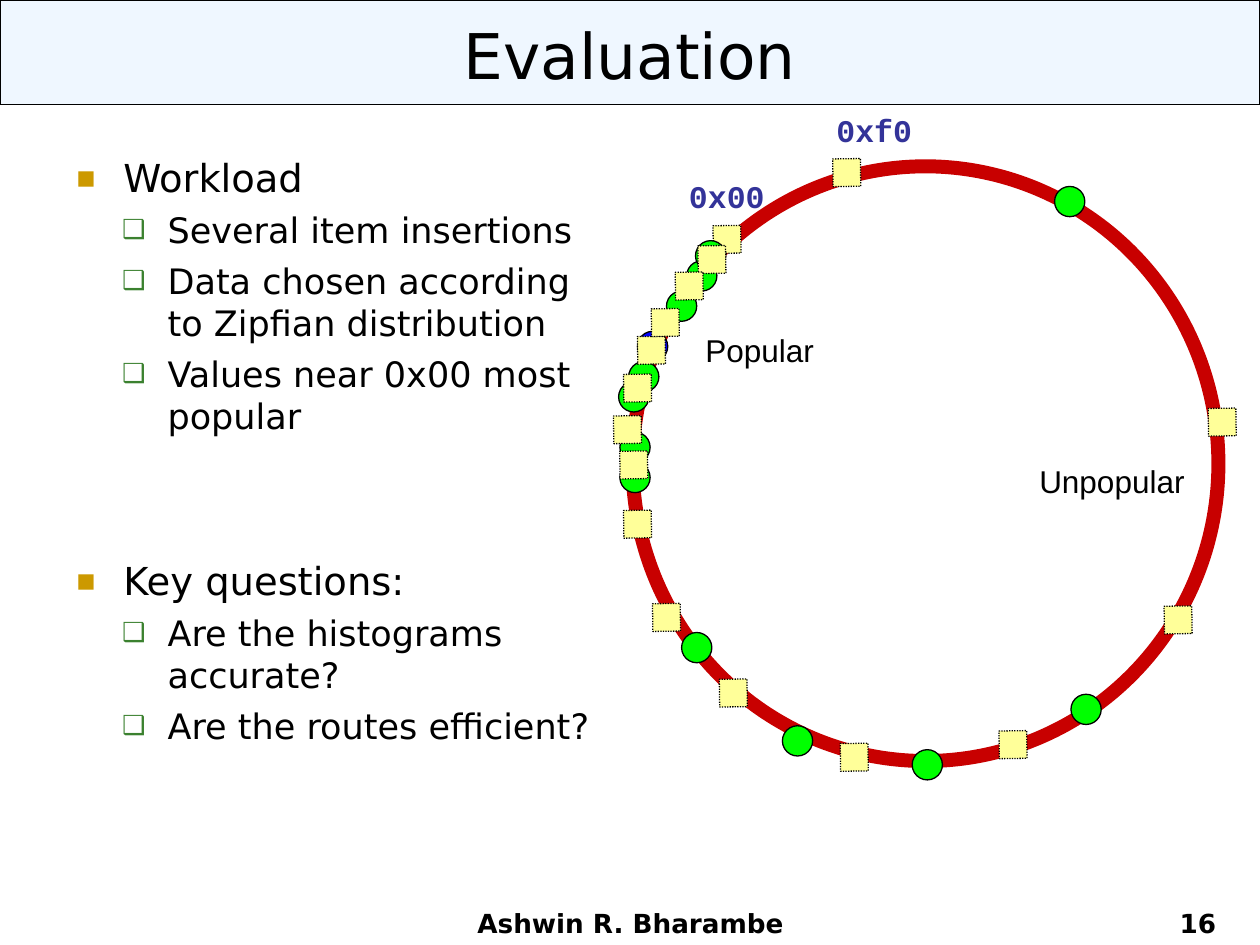
"""Build the Evaluation slide: workload outline beside a ring of nodes and items."""
from dataclasses import dataclass

from lxml.etree import SubElement
from pptx import Presentation
from pptx.dml.color import RGBColor
from pptx.enum.dml import MSO_LINE
from pptx.enum.shapes import MSO_SHAPE
from pptx.enum.text import MSO_ANCHOR, MSO_AUTO_SIZE, PP_ALIGN
from pptx.oxml.ns import qn
from pptx.util import Inches, Pt


@dataclass(frozen=True)
class Theme:
    ink: str = "000000"
    banner: str = "99CCFF"
    banner_alpha: int = 15
    ring: str = "C80000"
    node: str = "00FF00"
    own_node: str = "0000FF"
    item: str = "FFFF99"
    key: str = "333399"
    main: str = "DejaVu Sans"
    label: str = "Arial"
    mono: str = "Courier New"
    title_size: int = 36
    label_size: int = 18
    footer_size: int = 15
    ring_width: int = 8
    outline: float = 0.75
    tilt: float = -0.8


THEME = Theme()
TITLE = "Evaluation"
OUTLINE = [
    ("Workload", 5.5, [
        "Several item insertions",
        "Data chosen according to Zipfian distribution",
        "Values near 0x00 most popular",
    ]),
    ("Key questions:", 69, [
        "Are the histograms accurate?",
        "Are the routes efficient?",
    ]),
]
LEVELS = [
    {"size": 22, "margin": 0.38, "hang": 0.38, "bullet": "▪", "color": "CC9900", "scale": 80},
    {"size": 20, "margin": 0.73, "hang": 0.36, "bullet": "❑", "color": "3B812F", "scale": 75},
]
SUBPOINT_GAP = 5

RING = (5.02, 1.32, 4.65, 4.72)
MARKS = {
    "item": {"shape": MSO_SHAPE.RECTANGLE, "side": 0.22, "fill": THEME.item, "dash": MSO_LINE.ROUND_DOT},
    "node": {"shape": MSO_SHAPE.OVAL, "side": 0.24, "fill": THEME.node, "dash": None},
    "own_node": {"shape": MSO_SHAPE.OVAL, "side": 0.24, "fill": THEME.own_node, "dash": None},
}
LAYERS = [
    ("item", [(5.66, 1.79), (4.95, 4.05), (6.61, 1.26)]),
    ("node", [(8.37, 1.48), (5.45, 2.07), (4.99, 2.87), (4.92, 3.67), (4.91, 3.03),
              (5.52, 1.91), (5.29, 2.31), (8.5, 5.51), (4.92, 3.43)]),
    ("own_node", [(5.06, 2.63)]),
    ("node", [(6.21, 5.76), (5.41, 5.02), (7.24, 5.95)]),
    ("item", [(5.54, 1.95), (5.36, 2.16), (9.59, 3.24), (5.06, 2.67), (9.24, 4.81),
              (4.92, 3.58), (4.95, 2.97), (7.93, 5.8), (5.18, 4.79), (5.71, 5.39),
              (6.67, 5.9), (4.87, 3.3), (5.17, 2.45)]),
]

KEY_FONT = {"name": THEME.mono, "size": Pt(THEME.label_size), "bold": True}
AREA_FONT = {"name": THEME.label, "size": Pt(THEME.label_size), "bold": False}
FOOTER_FONT = {"name": THEME.main, "size": Pt(THEME.footer_size), "bold": True}
LABELS = [
    ("0x00", (5.37, 1.36, 0.8, 0.4), KEY_FONT, THEME.key),
    ("0xf0", (6.54, 0.83, 0.8, 0.4), KEY_FONT, THEME.key),
    ("Popular", (5.5, 2.58, 1.06, 0.4), AREA_FONT, THEME.ink),
    ("Unpopular", (8.15, 3.62, 1.4, 0.4), AREA_FONT, THEME.ink),
]
FOOTERS = [
    ("Ashwin R. Bharambe", (3.42, 7.33, 3.17, 0.17), PP_ALIGN.CENTER),
    ("16", (7.42, 7.25, 2.33, 0.25), PP_ALIGN.RIGHT),
]


def apply(target, values):
    for name, value in values.items():
        setattr(target, name, value)


def place(shape, box):
    apply(shape, dict(zip(("left", "top", "width", "height"), map(Inches, box))))


def write(paragraph, text, font, color, align=PP_ALIGN.LEFT):
    run = paragraph.add_run()
    run.text = text
    apply(run.font, font)
    run.font.color.rgb = RGBColor.from_string(color)
    paragraph.alignment = align


def draw(slide, kind, box, fill=None, line=THEME.ink, width=THEME.outline, dash=None, tilt=0):
    shape = slide.shapes.add_shape(kind, *map(Inches, box))
    shape.shadow.inherit = False
    shape.rotation = tilt
    if fill:
        shape.fill.solid()
        shape.fill.fore_color.rgb = RGBColor.from_string(fill)
    else:
        shape.fill.background()
    shape.line.color.rgb = RGBColor.from_string(line)
    apply(shape.line, {"width": Pt(width), "dash_style": dash})
    return shape


def add_banner(slide):
    banner = draw(slide, MSO_SHAPE.RECTANGLE, (0, 0, 10, 0.83), THEME.banner)
    tint = banner.fill._xPr.find(qn("a:solidFill"))[0]
    SubElement(tint, qn("a:alpha"), val=str(THEME.banner_alpha * 1000))
    slide.shapes._spTree.insert(2, banner._element)


def add_title(slide):
    title = slide.shapes.title
    place(title, (0.5, 0.08, 9, 0.75))
    apply(title.text_frame, {"auto_size": MSO_AUTO_SIZE.NONE, "vertical_anchor": MSO_ANCHOR.TOP})
    font = {"name": THEME.main, "size": Pt(THEME.title_size)}
    write(title.text_frame.paragraphs[0], TITLE, font, THEME.ink, PP_ALIGN.CENTER)


def add_point(paragraph, text, level, gap):
    style = LEVELS[level]
    apply(paragraph, {"level": level, "space_before": Pt(gap)})
    write(paragraph, text, {"name": THEME.main, "size": Pt(style["size"])}, THEME.ink)
    properties = paragraph._p.get_or_add_pPr()
    properties.set("marL", str(Inches(style["margin"])))
    properties.set("indent", str(-Inches(style["hang"])))
    SubElement(SubElement(properties, qn("a:buClr")), qn("a:srgbClr"), val=style["color"])
    SubElement(properties, qn("a:buSzPct"), val=str(style["scale"] * 1000))
    SubElement(properties, qn("a:buFont"), typeface=THEME.main)
    SubElement(properties, qn("a:buChar"), char=style["bullet"])


def add_outline(slide):
    body = slide.placeholders[1]
    place(body, (0.5, 1.17, 4.42, 5.54))
    frame = body.text_frame
    apply(frame, {"auto_size": MSO_AUTO_SIZE.NONE, "vertical_anchor": MSO_ANCHOR.TOP})
    points = []
    for heading, gap, subpoints in OUTLINE:
        points.append((heading, 0, gap))
        points += [(subpoint, 1, SUBPOINT_GAP) for subpoint in subpoints]
    for index, point in enumerate(points):
        add_point(frame.add_paragraph() if index else frame.paragraphs[0], *point)


def add_ring(slide):
    draw(slide, MSO_SHAPE.OVAL, RING, line=THEME.ring, width=THEME.ring_width, tilt=THEME.tilt)
    for kind, corners in LAYERS:
        mark = MARKS[kind]
        for left, top in corners:
            box = (left, top, mark["side"], mark["side"])
            draw(slide, mark["shape"], box, mark["fill"], dash=mark["dash"], tilt=THEME.tilt)


def add_text(slide, text, box, font, color, align, frame_format):
    frame = slide.shapes.add_textbox(*map(Inches, box)).text_frame
    apply(frame, frame_format)
    write(frame.paragraphs[0], text, font, color, align)


def main():
    deck = Presentation()
    apply(deck, {"slide_width": Inches(10), "slide_height": Inches(7.5)})
    slide = deck.slides.add_slide(deck.slide_layouts[1])
    add_banner(slide)
    add_title(slide)
    add_outline(slide)
    add_ring(slide)
    label_frame = {"word_wrap": False, "auto_size": MSO_AUTO_SIZE.NONE}
    for text, box, font, color in LABELS:
        add_text(slide, text, box, font, color, PP_ALIGN.LEFT, label_frame)
    footer_frame = {"word_wrap": True, "vertical_anchor": MSO_ANCHOR.BOTTOM}
    for text, box, align in FOOTERS:
        add_text(slide, text, box, FOOTER_FONT, THEME.ink, align, footer_frame)
    deck.save("out.pptx")


if __name__ == "__main__":
    main()
